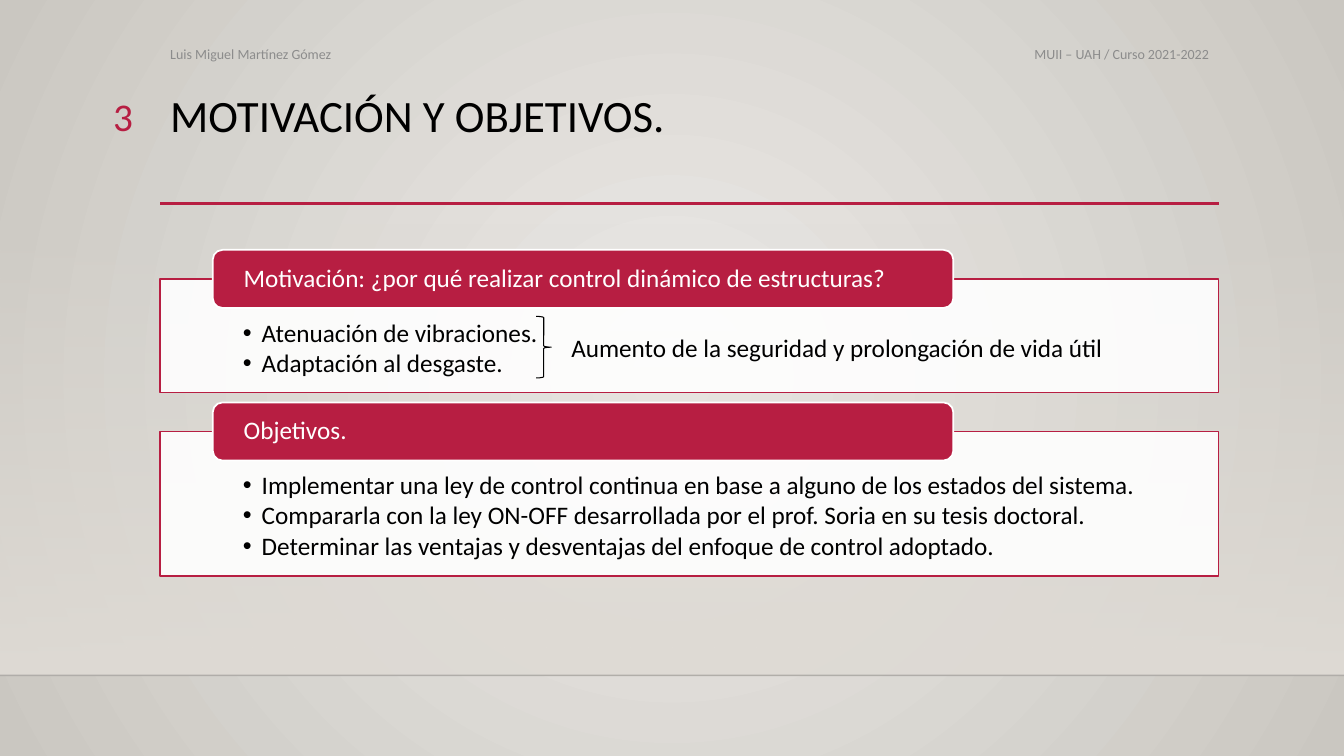
from lxml import etree
from pptx import Presentation
from pptx.dml.color import RGBColor
from pptx.enum import shapes, text
from pptx.oxml.ns import qn
from pptx.util import Pt

HUES = {"red": "B71E42", "white": "FFFFFF", "black": "000000", "gray": "8C8C8C",
        "floor": "DFDBD5", "glow": "ECEAE7", "edge": "CAC7C1", "rule": "000001"}
WIDE, HIGH = 960, 540
LEFT, SPAN = 114.5, 756
KIND = shapes.MSO_SHAPE
ALIGN = text.PP_ALIGN
TOP, MID = text.MSO_ANCHOR.TOP, text.MSO_ANCHOR.MIDDLE

PANELS = [
    (178.5, 102, "Motivación: ¿por qué realizar control dinámico de estructuras?",
     ["Atenuación de vibraciones.", "Adaptación al desgaste."], ALIGN.LEFT),
    (287.5, 124, "Objetivos.",
     ["Implementar una ley de control continua en base a alguno de los estados del sistema.",
      "Compararla con la ley ON-OFF desarrollada por el prof. Soria en su tesis doctoral.",
      "Determinar las ventajas y desventajas del enfoque de control adoptado."],
     ALIGN.JUSTIFY),
]


def hue(name):
    return RGBColor.from_string(HUES[name])


def add(node, tag, **attrs):
    return etree.SubElement(node, qn(tag), attrs)


def fade(node, part):
    """Set the opacity, in percent, of the first colour under node."""
    add(next(node.iter(qn("a:srgbClr"))), "a:alpha", val=str(part * 1000))


def blend(fill, first, last):
    fill.gradient()
    for stop, name in zip(fill.gradient_stops, (first, last)):
        stop.color.rgb = hue(name)


def draw(slide, kind, box, fill=None, line=None, width=1.25):
    shape = slide.shapes.add_shape(kind, *map(Pt, box))
    shape.shadow.inherit = False
    if fill:
        shape.fill.solid()
        shape.fill.fore_color.rgb = hue(fill)
    else:
        shape.fill.background()
    if line:
        shape.line.color.rgb = hue(line)
        shape.line.width = Pt(width)
    else:
        shape.line.fill.background()
    return shape


def rule(slide, x, y, span, color, width):
    line = slide.shapes.add_connector(shapes.MSO_CONNECTOR.STRAIGHT,
                                      Pt(x), Pt(y), Pt(x + span), Pt(y))
    line.line.color.rgb = hue(color)
    line.line.width = Pt(width)
    add(line.element.spPr, "a:effectLst")
    return line


def write(slide, box, lines, size, color, align=ALIGN.LEFT, anchor=MID,
          inset=(7.2, 3.6, 7.2, 3.6), pitch=1.0, bullet=False):
    frame = slide.shapes.add_textbox(*map(Pt, box)).text_frame
    frame.word_wrap = True
    frame.vertical_anchor = anchor
    (frame.margin_left, frame.margin_top,
     frame.margin_right, frame.margin_bottom) = map(Pt, inset)
    for i, line in enumerate(lines):
        para = frame.add_paragraph() if i else frame.paragraphs[0]
        para.alignment = align
        para.line_spacing = pitch
        if bullet:
            para.space_after = Pt(2.2)
            props = para._p.get_or_add_pPr()
            props.set("marL", str(Pt(13.5)))
            props.set("indent", str(-Pt(13.5)))
            add(props, "a:buFont", typeface="Arial")
            add(props, "a:buChar", char="•")
        run = para.add_run()
        run.text = line
        run.font.name = "Calibri"
        run.font.size = Pt(size)
        run.font.color.rgb = hue(color)


def scene(slide):
    """Radial backdrop with a floor line."""
    blend(slide.background.fill, "glow", "edge")
    grad = next(slide.element.iter(qn("a:gradFill")))
    grad.remove(grad.find(qn("a:lin")))
    ring = add(grad, "a:path", path="circle")
    add(ring, "a:fillToRect", l="50000", t="50000", r="50000", b="50000")

    floor = 482.4
    haze = draw(slide, KIND.RECTANGLE, (0, 159, WIDE, floor - 159))
    blend(haze.fill, "floor", "floor")
    haze.fill.gradient_angle = 270
    fade(haze.element.spPr, 0)
    fade(rule(slide, 0, floor, WIDE, "rule", 1).element.spPr, 20)


def header(slide, x, y, span):
    write(slide, (x, y, 467, 24.5), ["Luis Miguel Martínez Gómez"], 10, "gray")
    write(slide, (x + span - 276, y, 276, 24.5),
          ["MUII – UAH / Curso 2021-2022"], 10, "gray", ALIGN.RIGHT)
    write(slide, (x - 76.5, y + 36.5, 64, 40), ["3"], 28, "red", ALIGN.RIGHT, TOP)
    write(slide, (x, y + 37.5, span, 83), ["MOTIVACIÓN Y OBJETIVOS."], 32, "black",
          anchor=TOP, pitch=0.9)
    rule(slide, x, y + 119.5, span, "red", 2.5)


def panel(slide, x, y, span, high, title, points, align):
    """Bulleted box whose title tab straddles its top edge."""
    tab = 41.5
    body = (x, y + tab / 2, span, high - tab / 2)
    card = draw(slide, KIND.RECTANGLE, body, "white", "red")
    fade(card.element.spPr, 90)
    write(slide, body, points, 18, "black", align, TOP, (59, 29.5, 59, 10), 0.9, True)
    draw(slide, KIND.ROUNDED_RECTANGLE, (x + 37.5, y, 529, tab), "red", "white")
    write(slide, (x + 39.5, y + 2, 525, tab - 4), [title], 18, "white",
          inset=(20, 0, 20, 0), pitch=0.9)


def result(slide, x, y):
    """Brace and the outcome it leads to."""
    draw(slide, KIND.RIGHT_BRACE, (x, y, 10.8, 44), line="black", width=0.75)
    write(slide, (x + 18, y + 7.5, 445, 29),
          ["Aumento de la seguridad y prolongación de vida útil"], 18, "black")


def main():
    deck = Presentation()
    deck.slide_width, deck.slide_height = Pt(WIDE), Pt(HIGH)
    slide = deck.slides.add_slide(deck.slide_layouts[6])
    scene(slide)
    header(slide, LEFT, 26, SPAN)
    for y, high, title, points, align in PANELS:
        panel(slide, LEFT, y, SPAN, high, title, points, align)
    result(slide, 383, 226)
    deck.save("out.pptx")


if __name__ == "__main__":
    main()
